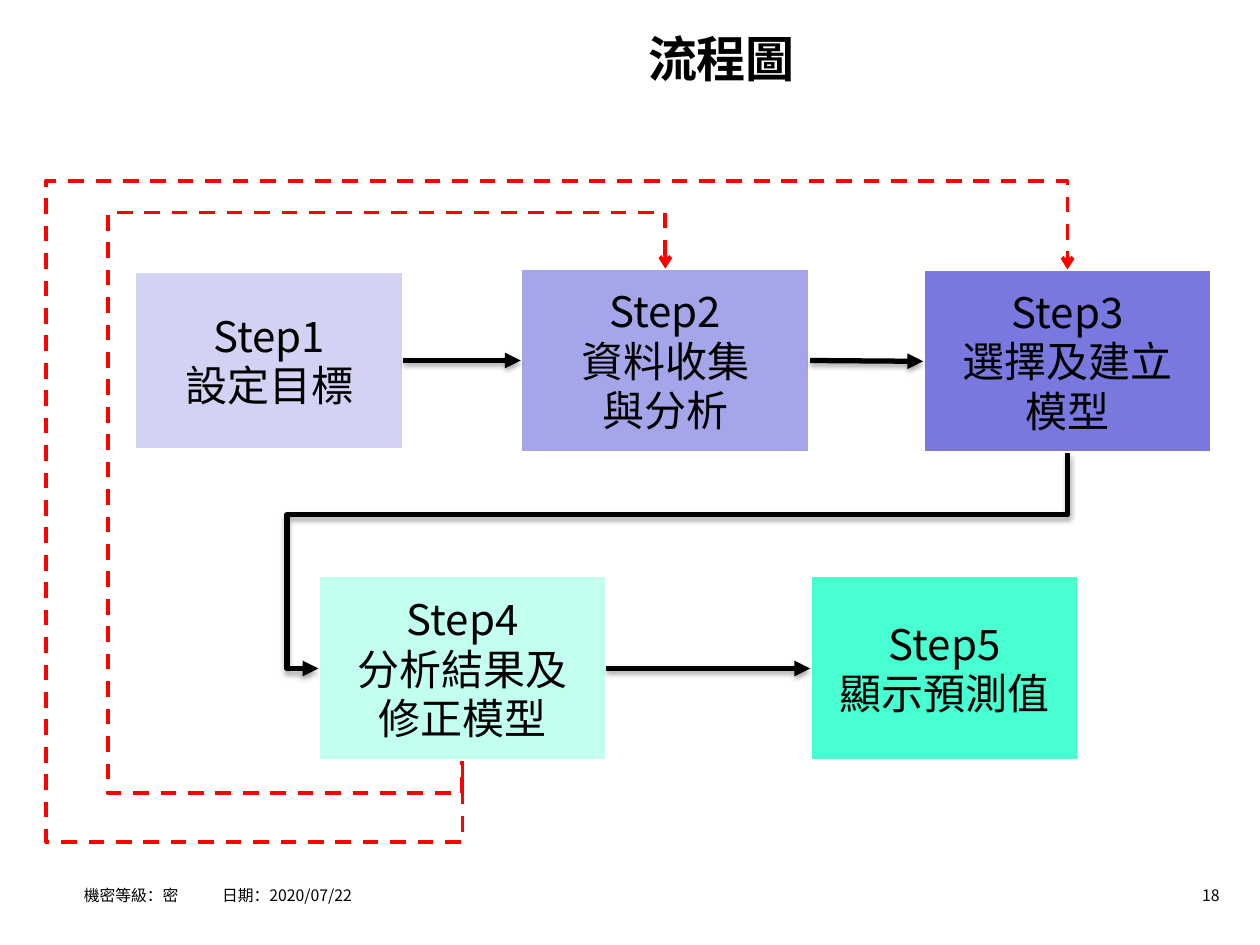
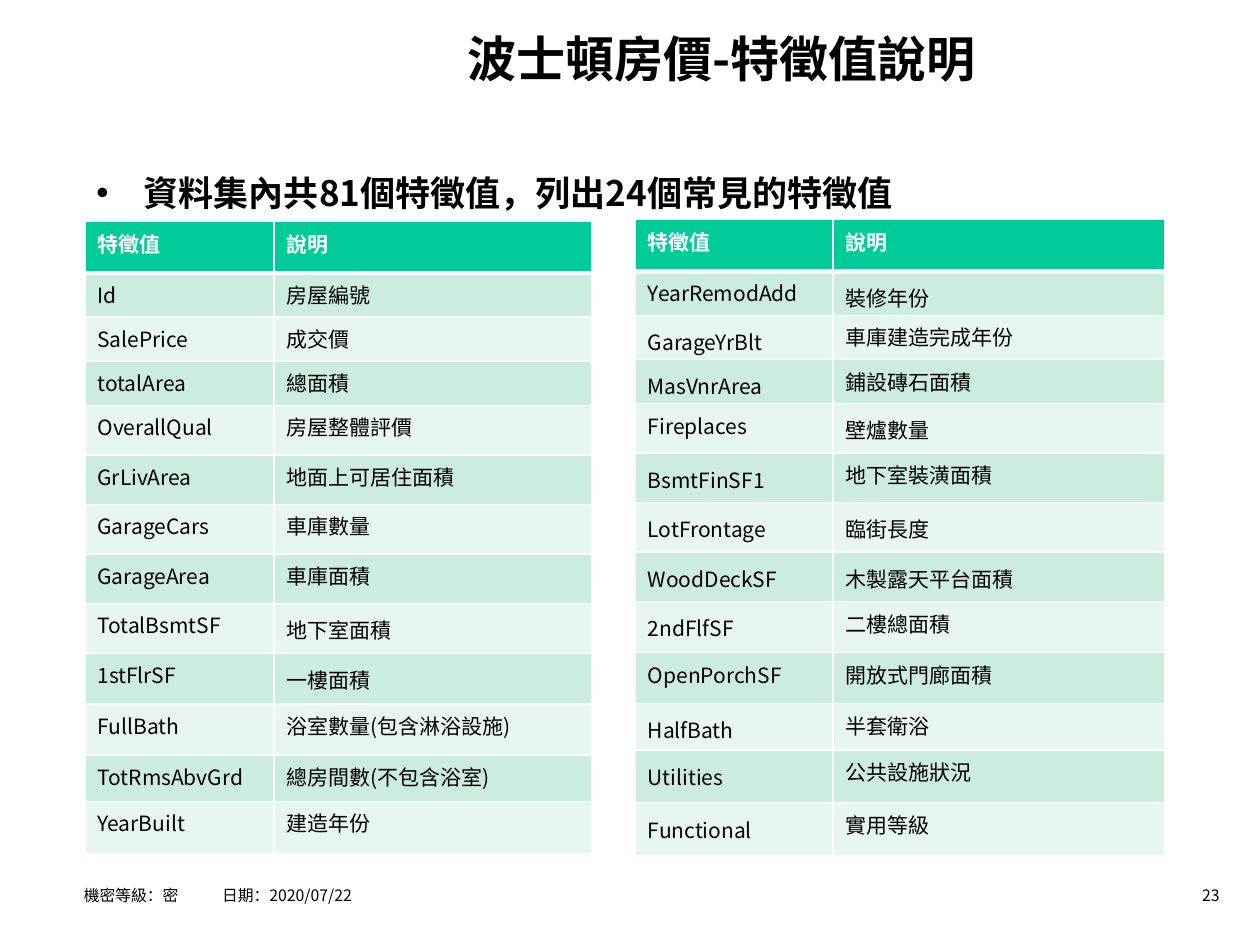
from itertools import product

from lxml.etree import SubElement
from pptx import Presentation
from pptx.dml.color import RGBColor
from pptx.enum.dml import MSO_LINE
from pptx.enum.shapes import MSO_CONNECTOR, MSO_SHAPE
from pptx.enum.text import MSO_ANCHOR, PP_ALIGN
from pptx.oxml import parse_xml
from pptx.oxml.ns import nsdecls, qn
from pptx.util import Pt

FONT = "Noto Sans CJK SC"
BLACK, WHITE, RED = "000000", "FFFFFF", "FF0000"
HEADER, BANDS = "00CC99", ("CCECDE", "E7F6EF")
TOP, LEFT, BOTTOM, RIGHT = range(4)
NAME, MEANING = (0,), (1,)
BOTH = NAME + MEANING

STEPS = [
    (("Step1", "設定目標"), (77, 155, 153.5, 102), "D2D2F4"),
    (("Step2", "資料收集", "與分析"), (297.5, 153.5, 165.5, 105), "A5A5E9"),
    (("Step3", "選擇及建立", "模型"), (527.5, 154, 165, 105), "7878DE"),
    (("Step4", "分析結果及", "修正模型"), (182, 329, 164.5, 106), "C2FFF0"),
    (("Step5", "顯示預測值"), (463, 329, 153.5, 106), "47FFD1"),
]

HOUSE_FEATURES = [
    ("Id", "房屋編號", ()),
    ("SalePrice", "成交價", ()),
    ("totalArea", "總面積", ()),
    ("OverallQual", "房屋整體評價", ()),
    ("GrLivArea", "地面上可居住面積", ()),
    ("GarageCars", "車庫數量", ()),
    ("GarageArea", "車庫面積", ()),
    ("TotalBsmtSF", "地下室面積", MEANING),
    ("1stFlrSF", "一樓面積", MEANING),
    ("FullBath", "浴室數量(包含淋浴設施)", ()),
    ("TotRmsAbvGrd", "總房間數(不包含浴室)", ()),
    ("YearBuilt", "建造年份", ()),
]
HOUSE_HEIGHTS = [29.5] + [25.2] * 3 + [28.3] * 5 + [29.2] * 2 + [26.5, 30.2]

EXTRA_FEATURES = [
    ("YearRemodAdd", "裝修年份", MEANING),
    ("GarageYrBlt", "車庫建造完成年份", NAME),
    ("MasVnrArea", "鋪設磚石面積", NAME),
    ("Fireplaces", "壁爐數量", MEANING),
    ("BsmtFinSF1", "地下室裝潢面積", NAME),
    ("LotFrontage", "臨街長度", BOTH),
    ("WoodDeckSF", "木製露天平台面積", BOTH),
    ("2ndFlfSF", "二樓總面積", NAME),
    ("OpenPorchSF", "開放式門廊面積", ()),
    ("HalfBath", "半套衛浴", NAME),
    ("Utilities", "公共設施狀況", NAME),
    ("Functional", "實用等級", NAME),
]
EXTRA_HEIGHTS = [29.5] + [25.2] * 3 + [28.3] * 4 + [29.2] * 2 + [26.5] + [30.2] * 2


def rgb(color):
    """Turn a hex string into a colour."""
    return RGBColor.from_string(color)


def style(paragraph, size, color=BLACK, bold=False, align=PP_ALIGN.LEFT):
    """Set the font and alignment of a paragraph."""
    paragraph.alignment = align
    font = paragraph.font
    font.size, font.bold, font.name = Pt(size), bold, FONT
    font.color.rgb = rgb(color)
    SubElement(font._rPr, qn("a:ea")).set("typeface", FONT)


def add_text(slide, text, box, size, bold=False, align=PP_ALIGN.LEFT, anchor=MSO_ANCHOR.TOP):
    """Add a one-paragraph text box and return its frame."""
    frame = slide.shapes.add_textbox(*map(Pt, box)).text_frame
    frame.word_wrap = True
    frame.vertical_anchor = anchor
    frame.text = text
    style(frame.paragraphs[0], size, bold=bold, align=align)
    return frame


def add_paragraph_xml(paragraph, xml):
    """Put a bullet or tab element ahead of the paragraph's font settings."""
    paragraph._p.pPr.find(qn("a:defRPr")).addprevious(parse_xml(xml))


def add_page(deck, title, number):
    """Add a blank slide with the shared title, footer and number."""
    slide = deck.slides.add_slide(deck.slide_layouts[6])
    add_text(slide, number, (655, 502.5, 49, 18), 9, align=PP_ALIGN.RIGHT, anchor=MSO_ANCHOR.MIDDLE)
    add_text(slide, title, (166.5, 12, 491.5, 42.5), 28, True, PP_ALIGN.CENTER, MSO_ANCHOR.MIDDLE)
    footer = add_text(slide, "機密等級：密\t日期：2020/07/22", (48, 497, 534, 22), 9)
    footer.margin_left = 0
    line = footer.paragraphs[0]
    line.line_spacing, line.space_before = 1.5, Pt(2.7)
    stop = Pt(79)
    add_paragraph_xml(line, f'<a:tabLst {nsdecls("a")}><a:tab pos="{stop}" algn="l"/></a:tabLst>')
    return slide


def add_step(slide, lines, box, color):
    """Add one process step."""
    step = slide.shapes.add_shape(MSO_SHAPE.RECTANGLE, *map(Pt, box))
    step.shadow.inherit = False
    step.fill.solid()
    step.fill.fore_color.rgb = rgb(color)
    step.line.color.rgb = rgb(WHITE)
    step.line.width = Pt(2)
    frame = step.text_frame
    frame.vertical_anchor = MSO_ANCHOR.MIDDLE
    frame.text = "\n".join(lines)
    for paragraph in frame.paragraphs:
        style(paragraph, 24, align=PP_ALIGN.CENTER)
        paragraph.line_spacing = Pt(28.5)
    return step


def add_link(slide, begin, end, kind=MSO_CONNECTOR.STRAIGHT):
    """Join two (step, side) pairs with a connector."""
    link = slide.shapes.add_connector(kind, 0, 0, 0, 0)
    link.begin_connect(*begin)
    link.end_connect(*end)
    return link


def route(link, lanes, rotation, flipped):
    """Bend a link along lanes that give y and x in turn."""
    starts, ends = (link.begin_y, link.begin_x), (link.end_y, link.end_x)
    spans = [end - start for start, end in zip(starts, ends)]
    middle_y, middle_x = [(start + end) // 2 for start, end in zip(starts, ends)]
    link.width, link.height = map(abs, spans)
    link.left, link.top = middle_x - link.width // 2, middle_y - link.height // 2
    frame = link._element.spPr.get_or_add_xfrm()
    frame.set("rot", str(rotation * 60000))
    for flip in ("flipH", "flipV"):
        frame.set(flip, str(int(flipped)))
    geometry = link._element.spPr.find(qn("a:prstGeom"))
    geometry.set("prst", f"bentConnector{len(lanes) + 2}")
    guides = geometry.find(qn("a:avLst"))
    if guides is None:
        guides = SubElement(geometry, qn("a:avLst"))
    for index, lane in enumerate(lanes):
        share = (Pt(lane) - starts[index % 2]) / spans[index % 2]
        guide = SubElement(guides, qn("a:gd"))
        guide.set("name", f"adj{index + 1}")
        guide.set("fmla", f"val {round(share * 100000)}")


def draw_link(link, color, width, arrow, at="tailEnd"):
    """Set the line and arrowhead of a link and clear its theme shadow."""
    link.line.color.rgb = rgb(color)
    link.line.width = Pt(width)
    if color == RED:
        link.line.dash_style = MSO_LINE.DASH
    SubElement(link.line._ln, qn(f"a:{at}")).set("type", arrow)
    return SubElement(link._element.spPr, qn("a:effectLst"))


def draw_flow(link):
    """Draw a link as a black arrow with a soft shadow."""
    effects = draw_link(link, BLACK, 3, "triangle")
    effects.append(parse_xml(
        f'<a:outerShdw {nsdecls("a")} blurRad="{Pt(3.1)}" dist="{Pt(1.8)}" dir="5400000" '
        f'rotWithShape="0"><a:srgbClr val="{BLACK}"><a:alpha val="35000"/></a:srgbClr></a:outerShdw>'))


def fill_cell(cell, text, color, header, spaced):
    """Write a table cell with white borders."""
    for side in "LRTB":
        width = 3 if header and side == "B" else 1
        cell._tc.get_or_add_tcPr().append(parse_xml(
            f'<a:ln{side} {nsdecls("a")} w="{Pt(width)}"><a:solidFill>'
            f'<a:srgbClr val="{WHITE}"/></a:solidFill></a:ln{side}>'))
    cell.fill.solid()
    cell.fill.fore_color.rgb = rgb(color)
    cell.text = text
    paragraph = cell.text_frame.paragraphs[0]
    style(paragraph, 12, WHITE if header else BLACK, header)
    if spaced:
        paragraph.line_spacing, paragraph.space_before = 1.15, Pt(6)


def add_features(slide, features, left, top, widths, heights):
    """Add a table of feature names and meanings."""
    rows = [("特徵值", "說明", ())] + features
    box = map(Pt, (left, top, sum(widths), sum(heights)))
    table = slide.shapes.add_table(len(rows), len(widths), *box).table
    for column, width in zip(table.columns, widths):
        column.width = Pt(width)
    for row, height in zip(table.rows, heights):
        row.height = Pt(height)
    for r, c in product(range(len(rows)), range(len(widths))):
        color = BANDS[(r - 1) % 2] if r else HEADER
        fill_cell(table.cell(r, c), rows[r][c], color, r == 0, c in rows[r][2])


def build_flowchart(deck):
    """Build the slide of the five steps and their feedback loops."""
    slide = add_page(deck, "流程圖", "18")
    goal, data, model, review, forecast = [add_step(slide, *step) for step in STEPS]
    for before, after in ((goal, data), (data, model), (review, forecast)):
        draw_flow(add_link(slide, (before, RIGHT), (after, LEFT)))
    elbow = MSO_CONNECTOR.ELBOW
    to_review = add_link(slide, (model, BOTTOM), (review, LEFT), elbow)
    route(to_review, (294, 164), 90, False)
    draw_flow(to_review)
    to_model = add_link(slide, (review, BOTTOM), (model, TOP), elbow)
    route(to_model, (481, 26.5, 103.5), 90, True)
    draw_link(to_model, RED, 2.25, "arrow")
    from_data = add_link(slide, (data, TOP), (review, BOTTOM), elbow)
    route(from_data, (121.5, 61.5, 453), 270, True)
    draw_link(from_data, RED, 2.25, "arrow", "headEnd")


def build_features(deck):
    """Build the slide of the house price features."""
    slide = add_page(deck, "波士頓房價-特徵值說明", "23")
    summary = add_text(slide, "資料集內共81個特徵值，列出24個常見的特徵值", (48, 94.5, 629.5, 402.5), 20, True)
    point = summary.paragraphs[0]
    point.space_before = Pt(4)
    indent = Pt(27)
    point._p.pPr.set("marL", str(indent))
    point._p.pPr.set("indent", str(-indent))
    add_paragraph_xml(point, f'<a:buFont {nsdecls("a")} typeface="Arial"/>')
    add_paragraph_xml(point, f'<a:buChar {nsdecls("a")} char="•"/>')
    add_features(slide, HOUSE_FEATURES, 48.5, 126.5, (108, 181.5), HOUSE_HEIGHTS)
    add_features(slide, EXTRA_FEATURES, 363, 125.5, (113, 189.5), EXTRA_HEIGHTS)


def main():
    """Build and save the deck."""
    deck = Presentation()
    deck.slide_width, deck.slide_height = Pt(720), Pt(540)
    build_flowchart(deck)
    build_features(deck)
    deck.save("out.pptx")


if __name__ == "__main__":
    main()
